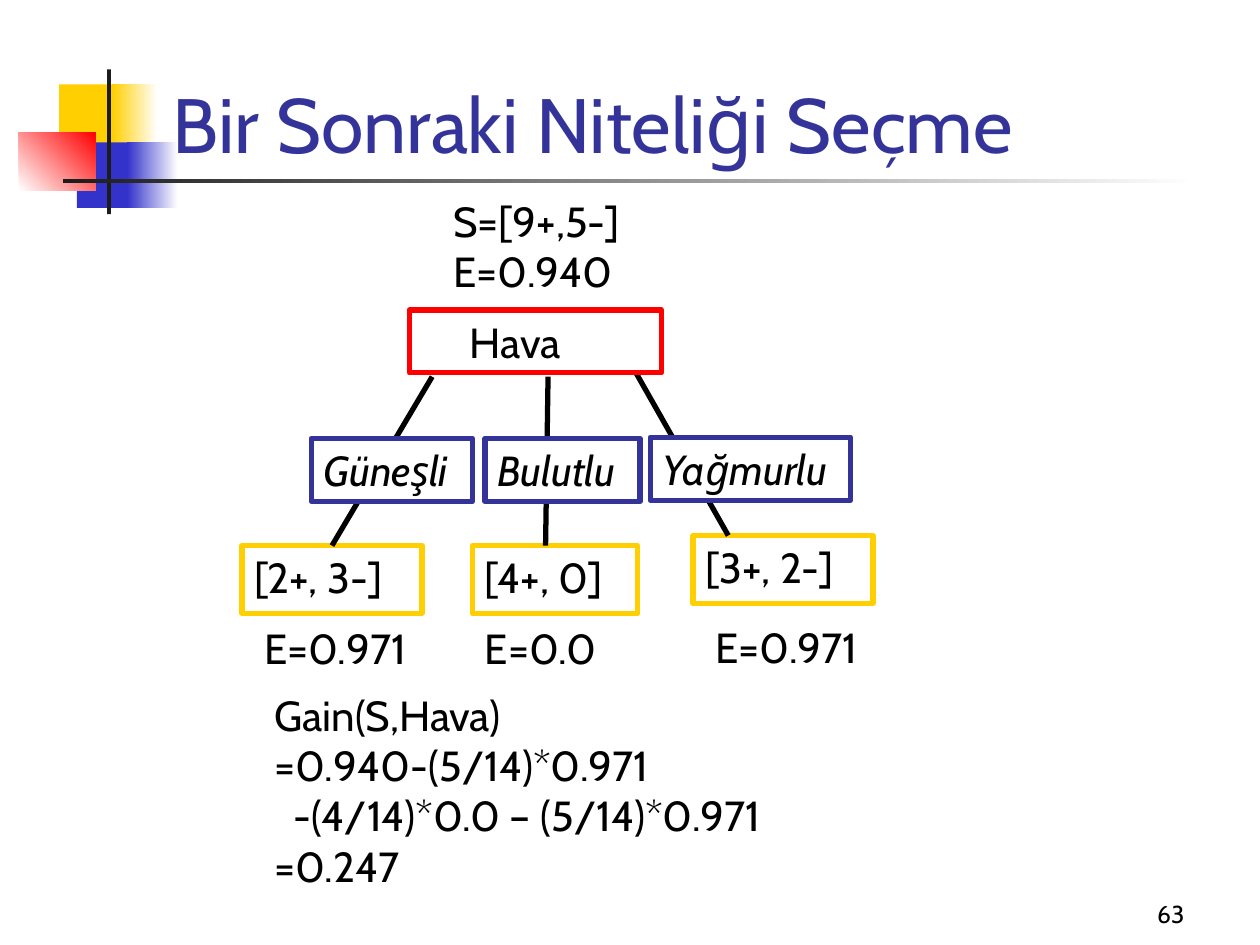
from lxml.etree import SubElement
from pptx import Presentation
from pptx.dml.color import RGBColor
from pptx.enum.shapes import MSO_CONNECTOR, MSO_SHAPE
from pptx.enum.text import MSO_ANCHOR, MSO_AUTO_SIZE, PP_ALIGN
from pptx.oxml.ns import qn
from pptx.util import Inches, Pt

BLACK, WHITE, INDIGO, GOLD, BLUE, RED, DARK = (
    "000000", "FFFFFF", "333399", "FFCF01", "3333CC", "FF0000", "1C1C1C")


def color(value):
    return RGBColor.from_string(value)


def write(shape, lines, size=24, ink=BLACK, italic=None,
          align=PP_ALIGN.LEFT, anchor=MSO_ANCHOR.TOP):
    frame = shape.text_frame
    frame.word_wrap = True
    frame.auto_size = MSO_AUTO_SIZE.NONE
    frame.vertical_anchor = anchor
    frame.text = "\n".join(lines)
    for paragraph in frame.paragraphs:
        paragraph.alignment = align
        font = paragraph.font
        font.name, font.size, font.italic = "Cabin", Pt(size), italic
        font.color.rgb = color(ink)
    return frame


prs = Presentation()
prs.slide_width, prs.slide_height = Inches(10), Inches(7.5)
slide = prs.slides.add_slide(prs.slide_layouts[5])
shapes = slide.shapes

# Decoration: solid and fading blocks, then the two rules
decoration = [
    (0.47, 0.67, 0.48, 0.52, [GOLD], 0),
    (0.89, 0.67, 0.36, 0.52, [GOLD, WHITE], 0),
    (0.61, 1.13, 0.46, 0.52, [BLUE], 0),
    (1.01, 1.13, 0.40, 0.52, [BLUE, WHITE], 0),
    (0.15, 1.05, 0.61, 0.46, [WHITE, RED], 45),
    (0.85, 0.55, 0.03, 1.15, [DARK], 0),
    (0.50, 1.42, 9.00, 0.03, [DARK, WHITE], 0),
]
for *place, tones, angle in decoration:
    block = shapes.add_shape(MSO_SHAPE.RECTANGLE, *map(Inches, place))
    block.shadow.inherit = False
    block.line.fill.background()
    if len(tones) == 1:
        block.fill.solid()
        block.fill.fore_color.rgb = color(tones[0])
    else:
        block.fill.gradient()
        block.fill.gradient_angle = angle
        for stop, tone in zip(block.fill.gradient_stops, tones):
            stop.color.rgb = color(tone)

# Title, moved in front of the decoration
title = shapes.title
title.left, title.top, title.width, title.height = map(Inches, (1.27, 0.14, 8.52, 1.25))
write(title, ["Bir Sonraki Niteliği Seçme"], 44, INDIGO, anchor=MSO_ANCHOR.BOTTOM)
shapes._spTree.append(title._element)

# Tree: leaves, then edges, then the nodes that cover the edges
leaves = [
    (1.92, 4.33, 1.43, 0.54, "[2+, 3-]", GOLD),
    (3.75, 4.33, 1.31, 0.54, "[4+, 0]", GOLD),
    (5.50, 4.25, 1.43, 0.54, "[3+, 2-]", GOLD),
]
edges = [(3.43, 2.99, 2.61, 4.33), (4.35, 2.99, 4.33, 4.33), (5.02, 2.91, 5.78, 4.25)]
nodes = [
    (3.25, 2.46, 2.00, 0.50, "Hava", RED),
    (2.47, 3.48, 1.28, 0.50, "Güneşli", INDIGO),
    (3.85, 3.48, 1.23, 0.50, "Bulutlu", INDIGO),
    (5.16, 3.47, 1.59, 0.50, "Yağmurlu", INDIGO),
]
boxes = []
for *place, label, outline in leaves + nodes:
    if len(boxes) == len(leaves):
        for ends in edges:
            edge = shapes.add_connector(MSO_CONNECTOR.STRAIGHT, *map(Inches, ends))
            edge.line.color.rgb = color(BLACK)
            edge.line.width = Pt(3)
            SubElement(edge._element.spPr, qn("a:effectLst"))
            if ends == edges[0]:
                edge.end_connect(boxes[0], 0)
    box = shapes.add_shape(MSO_SHAPE.RECTANGLE, *map(Inches, place))
    box.shadow.inherit = False
    box.fill.solid()
    box.fill.fore_color.rgb = color(WHITE)
    box.line.color.rgb = color(outline)
    box.line.width = Pt(3)
    frame = write(box, [label], italic=outline == INDIGO)
    if label == "Hava":
        frame.margin_left = Inches(0.48)
    boxes.append(box)

# Entropies, gain calculation and slide number
notes = [
    (3.50, 1.50, 1.72, 0.90, ["S=[9+,5-]", "E=0.940"]),
    (2.00, 5.00, 1.50, 0.38, ["E=0.971"]),
    (3.75, 5.00, 1.50, 0.38, ["E=0.0"]),
    (5.58, 4.88, 1.50, 0.50, ["E=0.971"]),
    (2.08, 5.42, 4.48, 1.72, ["Gain(S,Hava)", "=0.940-(5/14)*0.971",
                              "-(4/14)*0.0 – (5/14)*0.971", "=0.247"]),
]
for *place, lines in notes:
    frame = write(shapes.add_textbox(*map(Inches, place)), lines)
    if place[3] == 0.38:
        frame.paragraphs[0].line_spacing = 0.7
    for paragraph in frame.paragraphs:
        if paragraph.text.startswith("-"):
            paragraph._p.get_or_add_pPr().set("marL", str(Inches(0.15)))

number = shapes.add_textbox(*map(Inches, (7.42, 6.92, 2.08, 0.5)))
write(number, ["63"], 14, align=PP_ALIGN.RIGHT, anchor=MSO_ANCHOR.BOTTOM)

prs.save("out.pptx")
